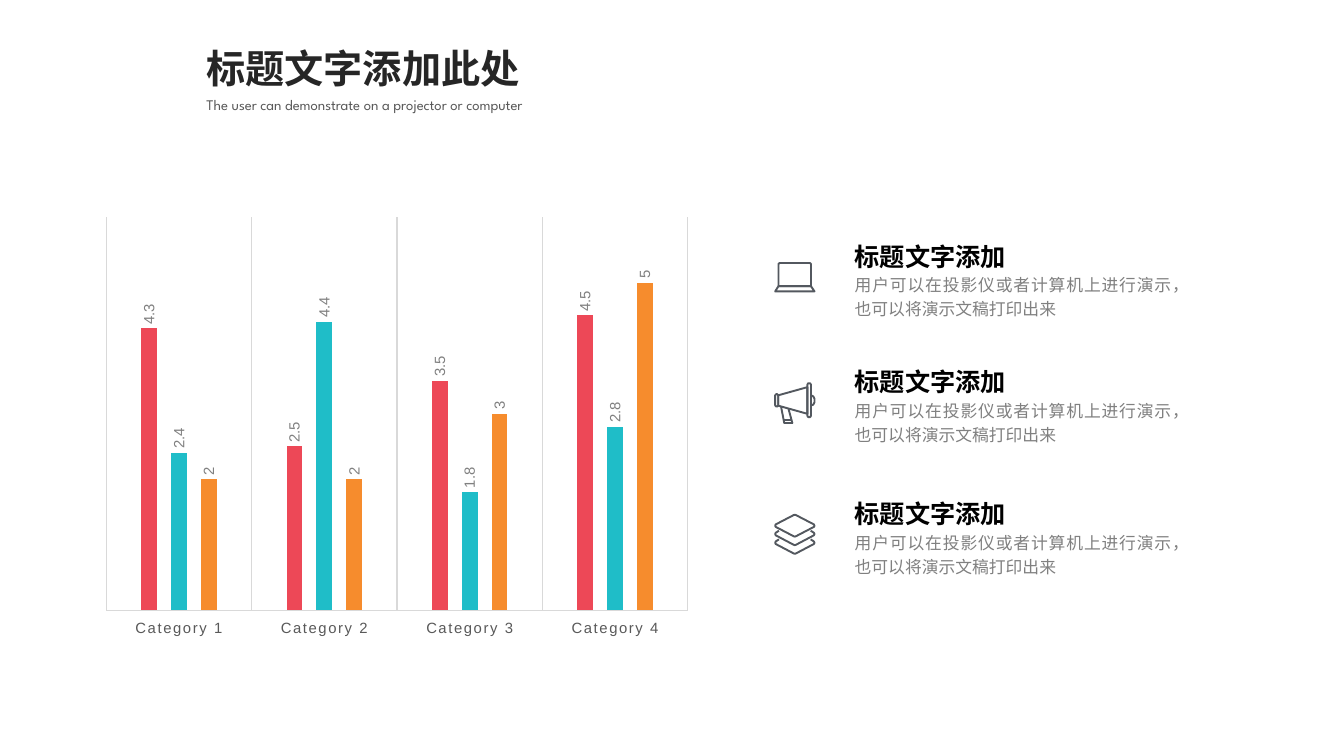
from dataclasses import dataclass

from lxml import etree
from pptx import Presentation
from pptx.chart.data import CategoryChartData
from pptx.dml.color import RGBColor
from pptx.enum.chart import XL_CHART_TYPE, XL_LABEL_POSITION, XL_TICK_LABEL_POSITION, XL_TICK_MARK
from pptx.enum.text import MSO_AUTO_SIZE, PP_ALIGN
from pptx.oxml import parse_xml
from pptx.util import Pt

COLUMNS = XL_CHART_TYPE.COLUMN_CLUSTERED
OUTSIDE_END = XL_LABEL_POSITION.OUTSIDE_END
LABELS_LOW = XL_TICK_LABEL_POSITION.LOW
NO_TICK = XL_TICK_MARK.NONE
FIT_SHAPE = MSO_AUTO_SIZE.SHAPE_TO_FIT_TEXT
LEFT, JUSTIFY = PP_ALIGN.LEFT, PP_ALIGN.JUSTIFY

RED = RGBColor(0xED, 0x48, 0x57)
TEAL = RGBColor(0x1F, 0xBD, 0xC8)
ORANGE = RGBColor(0xF6, 0x8C, 0x2D)
BLACK = RGBColor(0x00, 0x00, 0x00)
INK = RGBColor(0x26, 0x26, 0x26)
DARK_GREY = RGBColor(0x59, 0x59, 0x59)
GREY = RGBColor(0x80, 0x80, 0x80)
PALE_GREY = RGBColor(0xD9, 0xD9, 0xD9)
ICON_GREY = RGBColor(0x53, 0x58, 0x5F)

BODY = "用户可以在投影仪或者计算机上进行演示，也可以将演示文稿打印出来"
ICON_X, TEXT_X = 553, 603.4


@dataclass
class Stroke:
    points: list[tuple[float, float]]
    close: bool = True


@dataclass
class Item:
    top: float
    icon: list[Stroke]


@dataclass
class Series:
    name: str
    values: tuple[float, ...]
    color: RGBColor


# Icon outlines, in points from the icon's top left corner
LAPTOP = [
    Stroke([(3.1, 5.4), (3.8, 4.7), (25.6, 4.7), (26.3, 5.4), (26.3, 21.2), (3.1, 21.2)]),
    Stroke([(3.1, 21.2), (26.3, 21.2), (28.8, 25), (0.7, 25)]),
]
MEGAPHONE = [
    Stroke([(0.7, 9.4), (1.4, 8.6), (2.3, 8.6), (2.9, 9.4), (2.9, 16.6),
            (2.3, 17.4), (1.4, 17.4), (0.7, 16.6)]),
    Stroke([(2.9, 9.4), (23.7, 3.6), (23.7, 22.6), (2.9, 16.8)]),
    Stroke([(23.7, 1.8), (24.3, 0.8), (25.7, 0.8), (26.3, 1.8), (26.3, 24),
            (25.7, 25), (24.3, 25), (23.7, 24)]),
    Stroke([(26.3, 9.4), (28, 10.2), (28.8, 11.8), (28.8, 14.4), (28, 16), (26.3, 16.8)], False),
    Stroke([(4.9, 17.4), (7.2, 29.2), (13, 29.2), (12.4, 27), (10.2, 18.9)], False),
    Stroke([(6.8, 27), (12.4, 27)], False),
]
LAYERS = [
    Stroke([(14, 0.9), (14.75, 0.7), (15.5, 0.9), (28.4, 7.6), (28.8, 8.5), (28.4, 9.4),
            (15.5, 16.1), (14.75, 16.3), (14, 16.1), (1.1, 9.4), (0.7, 8.5), (1.1, 7.6)]),
] + [
    Stroke([(x, y + drop) for x, y in (
        (3.4, 12.1), (1.1, 13.6), (0.7, 14.5), (1.1, 15.4), (14, 22.2), (14.75, 22.4),
        (15.5, 22.2), (28.4, 15.4), (28.8, 14.5), (28.4, 13.6), (26.1, 12.1))], False)
    for drop in (0, 6.2)
]

ITEMS = [Item(164.2, LAPTOP), Item(254, MEGAPHONE), Item(348, LAYERS)]
CATEGORIES = [f"Category {n}" for n in range(1, 5)]
SERIES = [
    Series("Series 1", (4.3, 2.5, 3.5, 4.5), RED),
    Series("Series 2", (2.4, 4.4, 1.8, 2.8), TEAL),
    Series("Series 3", (2, 2, 3, 5), ORANGE),
]


def add_text(s, text: str, x: float, y: float, w: float, h: float, *, size: float,
             color: RGBColor, font: str = "Arial", bold: bool = False,
             align=LEFT, spacing: float = 1.0, wrap: bool = True) -> None:
    tf = s.shapes.add_textbox(Pt(x), Pt(y), Pt(w), Pt(h)).text_frame
    tf.word_wrap = wrap
    tf.auto_size = FIT_SHAPE
    p = tf.paragraphs[0]
    p.alignment = align
    p.line_spacing = spacing
    r = p.add_run()
    r.text = text
    r.font.name, r.font.size, r.font.bold = font, Pt(size), bold
    r.font.color.rgb = color


def add_icon(s, strokes: list[Stroke], x: float, y: float) -> None:
    start = strokes[0].points[0]
    builder = s.shapes.build_freeform(Pt(start[0]), Pt(start[1]))
    for i, stroke in enumerate(strokes):
        points = [(Pt(px), Pt(py)) for px, py in stroke.points]
        if i:
            builder.move_to(*points[0])
        builder.add_line_segments(points[1:], close=stroke.close)
    sp = builder.convert_to_shape(Pt(x), Pt(y))
    sp.shadow.inherit = False
    sp.fill.background()
    sp.line.color.rgb = ICON_GREY
    sp.line.width = Pt(1.35)


def style_font(font, color: RGBColor) -> None:
    font.name, font.size = "Arial", Pt(10.6)
    font.color.rgb = color


def place_plot(chart, x: float, y: float, w: float, h: float) -> None:
    """Fix the inner plot area, as fractions of the chart."""
    plot_area = chart.plots[0]._element.getparent()
    for old in plot_area.findall("{*}layout"):
        plot_area.remove(old)
    ns = etree.QName(plot_area).namespace
    sizes = "".join(f'<c:{k} val="{v}"/>' for k, v in zip("xywh", (x, y, w, h)))
    plot_area.insert(0, parse_xml(
        f'<c:layout xmlns:c="{ns}"><c:manualLayout><c:layoutTarget val="inner"/>'
        f'<c:xMode val="edge"/><c:yMode val="edge"/>{sizes}</c:manualLayout></c:layout>'))


def add_column_chart(s) -> None:
    data = CategoryChartData()
    data.categories = CATEGORIES
    for series in SERIES:
        data.add_series(series.name, series.values)
    chart = s.shapes.add_chart(COLUMNS, Pt(67.7), Pt(148.3), Pt(432.7), Pt(308.2), data).chart
    chart.has_legend = chart.has_title = False
    chart.font.name, chart.font.size = "Arial", Pt(10)
    place_plot(chart, 0.019, 0.022, 0.96, 0.911)

    # Axes
    axis = chart.category_axis
    axis.major_tick_mark = axis.minor_tick_mark = NO_TICK
    axis.tick_label_position = LABELS_LOW
    axis.has_major_gridlines = True
    for line in (axis.format.line, axis.major_gridlines.format.line):
        line.color.rgb = PALE_GREY
        line.width = Pt(0.75)
    style_font(axis.tick_labels.font, DARK_GREY)
    axis.tick_labels.font._element.set("spc", "120")
    values = chart.value_axis
    values.minimum_scale, values.maximum_scale = 0, 6
    values.has_major_gridlines = False
    values.visible = False

    # Columns and their upright labels
    plot = chart.plots[0]
    plot.gap_width, plot.overlap, plot.vary_by_categories = 444, -90, False
    for column, series in zip(plot.series, SERIES):
        column.format.fill.solid()
        column.format.fill.fore_color.rgb = series.color
        labels = column.data_labels
        labels.show_value = True
        labels.position = OUTSIDE_END
        style_font(labels.font, GREY)
        body = labels._element.find(".//{*}bodyPr")
        body.set("rot", "-5400000")
        body.set("vert", "horz")


def main() -> None:
    prs = Presentation()
    prs.slide_width, prs.slide_height = Pt(960), Pt(540)
    s = prs.slides.add_slide(prs.slide_layouts[6])

    add_column_chart(s)

    # Heading
    add_text(s, "The user can demonstrate on a projector or computer", 140.4, 64.8, 296.6, 20,
             size=10.5, color=DARK_GREY, font="League Spartan")
    add_text(s, "标题文字添加此处", 140.4, 28.1, 240.5, 41, size=28, color=INK, bold=True, wrap=False)

    # Items on the right
    for item in ITEMS:
        add_icon(s, item.icon, ICON_X, item.top + 19)
        add_text(s, BODY, TEXT_X, item.top + 25.8, 241.2, 42.5,
                 size=12, color=GREY, align=JUSTIFY, spacing=1.2)
        add_text(s, "标题文字添加", TEXT_X, item.top, 164.2, 33.8,
                 size=18, color=BLACK, bold=True, align=JUSTIFY, spacing=1.2)

    prs.save("out.pptx")


if __name__ == "__main__":
    main()
